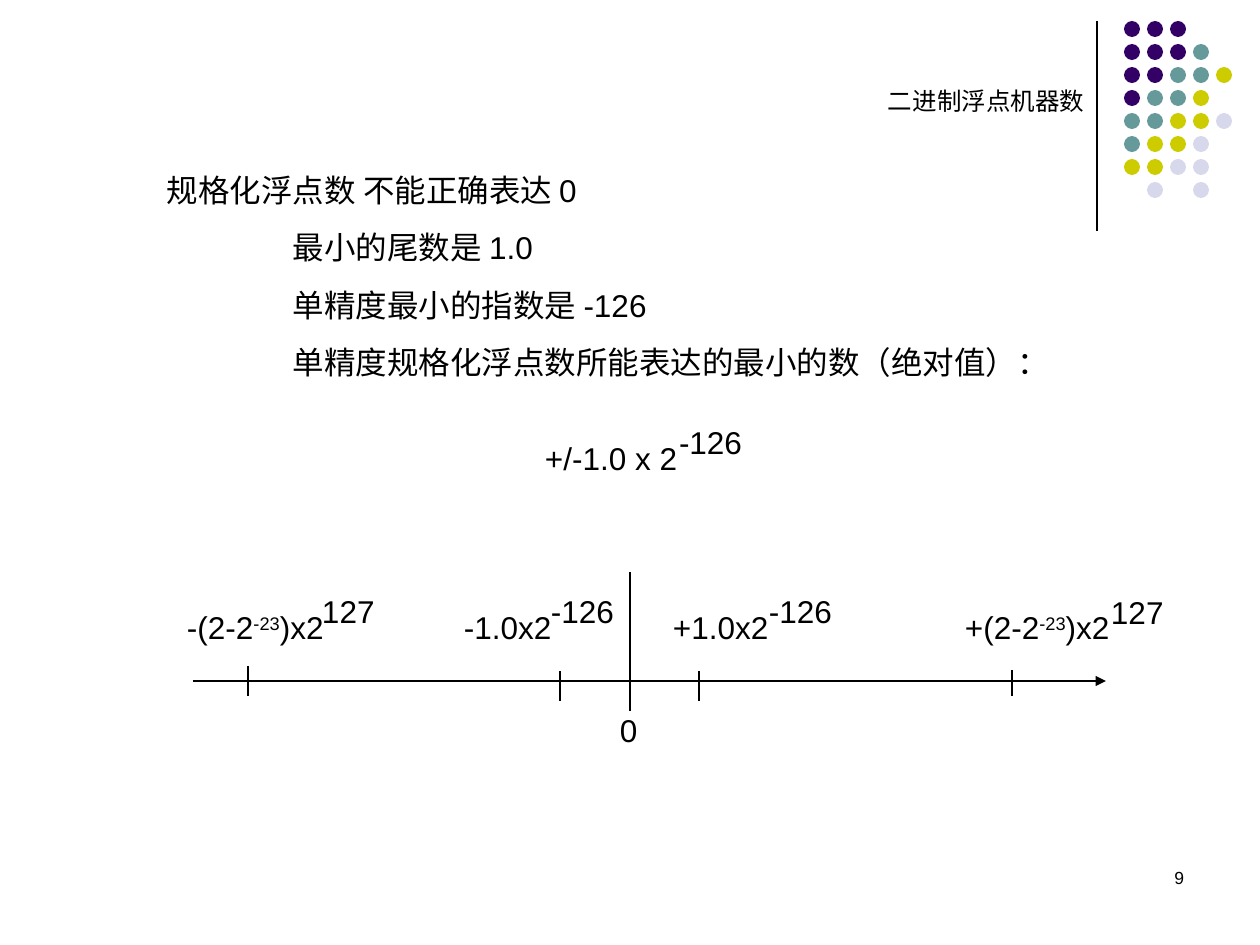
from lxml.etree import SubElement
from pptx import Presentation
from pptx.dml.color import RGBColor
from pptx.enum.shapes import MSO_CONNECTOR, MSO_SHAPE
from pptx.enum.text import PP_ALIGN
from pptx.oxml.ns import qn
from pptx.util import Pt

PX = 914400 / 126
BLACK = RGBColor(0x00, 0x00, 0x00)
PURPLE = RGBColor(0x33, 0x00, 0x66)
TEAL = RGBColor(0x66, 0x99, 0x99)
YELLOW = RGBColor(0xCC, 0xCC, 0x00)
LILAC = RGBColor(0xD8, 0xD8, 0xEC)


def px(*lengths):
    return [round(n * PX) for n in lengths]


prs = Presentation()
prs.slide_width, prs.slide_height = px(1260, 945)
s = prs.slides.add_slide(prs.slide_layouts[6])


def add_text(box, paragraphs, size=18, inset=(13, 6), align=None):
    """Each paragraph is (left indent px, space before pt, runs); a run starting with ^ is raised."""
    tf = s.shapes.add_textbox(*px(*box)).text_frame
    tf.word_wrap = True
    tf.margin_left, tf.margin_top = tf.margin_right, tf.margin_bottom = px(*inset)
    for i, (indent, before, runs) in enumerate(paragraphs):
        p = tf.paragraphs[0] if i == 0 else tf.add_paragraph()
        p.alignment = align
        if indent:
            p._p.get_or_add_pPr().set("marL", str(px(indent)[0]))
        if before:
            p.space_before = Pt(before)
        for text in runs:
            r = p.add_run()
            r.text = text.lstrip("^")
            r.font.name, r.font.size = "Arial", Pt(size)
            r.font.color.rgb = BLACK
            if text.startswith("^"):
                r._r.get_or_add_rPr().set("baseline", "30000")


# Corner dots
DOT_COLOURS = {"P": PURPLE, "T": TEAL, "Y": YELLOW, "L": LILAC}
DOT_ROWS = ["PPP", "PPPT", "PPTTY", "PTTY", "TTYYL", "TYYL", "YYLL", ".L.L"]
for row, codes in enumerate(DOT_ROWS):
    for col, code in enumerate(codes):
        if code == ".":
            continue
        dot = s.shapes.add_shape(MSO_SHAPE.OVAL, *px(1124 + 23 * col, 21 + 23 * row, 16, 16))
        dot.shadow.inherit = False
        dot.fill.solid()
        dot.fill.fore_color.rgb = DOT_COLOURS[code]
        dot.line.fill.background()

# Title rule, number axis, zero line and ticks
AXIS = (193, 681, 1106, 681)
LINES = [
    (1097, 21, 1097, 231),
    AXIS,
    (630, 572, 630, 711),
    (699, 671, 699, 701),
    (560, 671, 560, 701),
    (1012, 670, 1012, 696),
    (248, 666, 248, 696),
]
for ends in LINES:
    line = s.shapes.add_connector(MSO_CONNECTOR.STRAIGHT, *px(*ends))
    line.line.color.rgb = BLACK
    line.line.width = Pt(0.75)
    if ends == AXIS:
        SubElement(line.line._get_or_add_ln(), qn("a:tailEnd"), type="triangle")
    SubElement(line._element.spPr, qn("a:effectLst"))

# Title and body
add_text((888, 86, 228, 29), [(0, 0, ["二进制浮点机器数"])], size=14, inset=(0, 0))
add_text((154, 165, 953, 319), [
    (0, 0, ["规格化浮点数 不能正确表达 0"]),
    (126, 11.2, ["最小的尾数是 1.0"]),
    (126, 11.2, ["单精度最小的指数是 -126"]),
    (126, 11.2, ["单精度规格化浮点数所能表达的最小的数（绝对值）："]),
    (378, 33, ["+/-1.0 x 2"]),
])

# Axis labels
for box, runs in [
    ((660, 602, 139, 50), ["+1.0x2"]),
    ((451, 602, 139, 50), ["-1.0x2"]),
    ((952, 602, 179, 50), ["+(2-2", "^-23", ")x2"]),
    ((174, 602, 174, 50), ["-(2-2", "^-23", ")x2"]),
]:
    add_text(box, [(0, 0, runs)])

# Exponents and the zero mark
for x, y, w, text in [
    (679, 423, 79, "-126"),
    (769, 592, 79, "-126"),
    (551, 592, 79, "-126"),
    (322, 592, 54, "127"),
    (1111, 593, 54, "127"),
    (620, 711, 20, "0"),
]:
    add_text((x, y, w, 38), [(0, 0, [text])], inset=(0, 0))

# Page number
add_text((903, 861, 294, 63), [(0, 0, ["9"])], size=10, align=PP_ALIGN.RIGHT)

prs.save("out.pptx")
